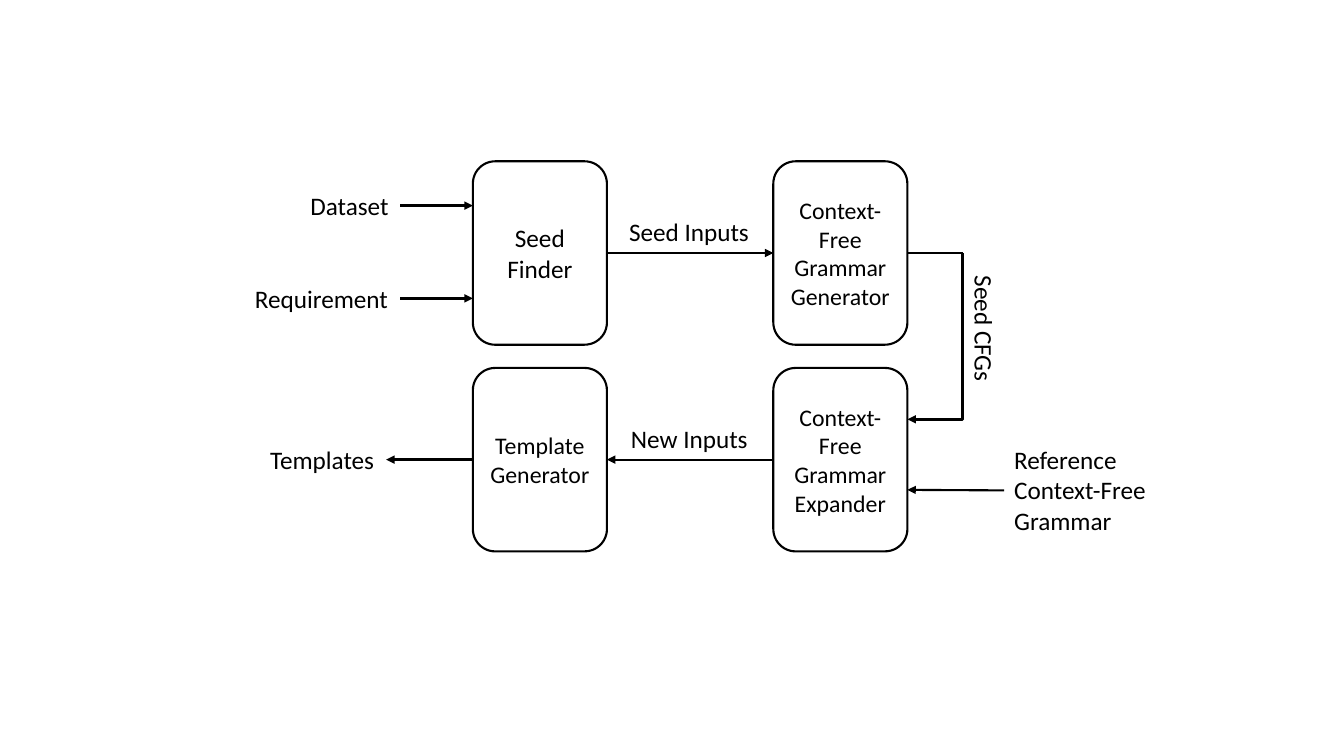
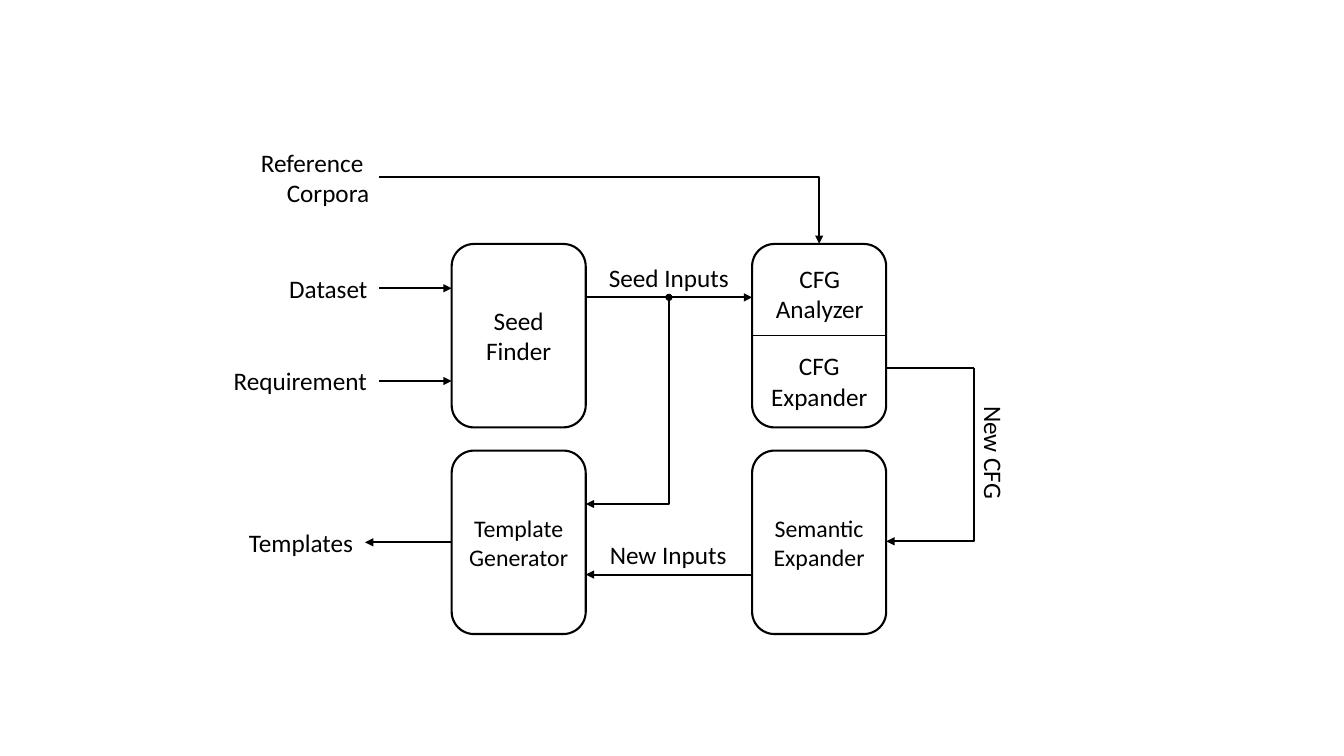
from dataclasses import dataclass
from typing import NamedTuple

from pptx import Presentation
from pptx.dml.color import RGBColor
from pptx.enum.shapes import MSO_CONNECTOR, MSO_SHAPE
from pptx.enum.text import MSO_ANCHOR, MSO_AUTO_SIZE, PP_ALIGN
from pptx.oxml.ns import qn
from pptx.oxml.xmlchemy import OxmlElement
from pptx.shapes.autoshape import Shape
from pptx.shapes.connector import Connector
from pptx.slide import Slide
from pptx.util import Inches, Pt

COLORS = {"ink": "000000", "paper": "FFFFFF"}
FONT = "Calibri"
BOX_WIDTH, BOX_HEIGHT = 1.33, 1.82
COLUMN_STEP, ROW_STEP = 2.98, 2.05
TOP, LEFT, BOTTOM, RIGHT = range(4)


class Point(NamedTuple):
    x: float
    y: float


class Anchor(NamedTuple):
    """The middle of one side of a shape."""
    shape: Shape
    side: int


@dataclass(frozen=True)
class Stage:
    lines: tuple[str, ...]
    column: int
    row: int
    size: float = 17


@dataclass(frozen=True)
class Label:
    lines: tuple[str, ...]
    left: float
    top: float
    width: float
    height: float = 0.4
    align: PP_ALIGN = PP_ALIGN.LEFT
    rotation: float = 0
    wrap: bool = False


SEED_FINDER = Stage(("Seed", "Finder"), 0, 0, 18)
TEMPLATE_GENERATOR = Stage(("Template", "Generator"), 0, 1)
# Places of these labels are relative to the top left stage.
DATASET = Label(("Dataset",), -1.71, 0.24, 0.99)
REQUIREMENT = Label(("Requirement",), -2.26, 1.16, 1.54)
TEMPLATES = Label(("Templates",), -2.11, 2.76, 1.25)


def color(name: str) -> RGBColor:
    return RGBColor.from_string(COLORS[name])


def write(shape: Shape, lines: tuple[str, ...], *, size: float = 18,
          align: PP_ALIGN = PP_ALIGN.LEFT, wrap: bool = True) -> None:
    frame = shape.text_frame
    frame.word_wrap = wrap
    for index, line in enumerate(lines):
        paragraph = frame.add_paragraph() if index else frame.paragraphs[0]
        paragraph.alignment = align
        run = paragraph.add_run()
        run.text = line
        run.font.name = FONT
        run.font.size = Pt(size)
        run.font.color.rgb = color("ink")


def add_outlined(slide: Slide, kind: MSO_SHAPE, place: Point, width: float, height: float,
                 *, fill: str, line_width: float) -> Shape:
    shape = slide.shapes.add_shape(kind, Inches(place.x), Inches(place.y),
                                   Inches(width), Inches(height))
    shape.shadow.inherit = False
    shape.fill.solid()
    shape.fill.fore_color.rgb = color(fill)
    shape.line.color.rgb = color("ink")
    shape.line.width = Pt(line_width)
    return shape


def add_stage(slide: Slide, origin: Point, stage: Stage) -> Shape:
    place = Point(origin.x + stage.column * COLUMN_STEP, origin.y + stage.row * ROW_STEP)
    shape = add_outlined(slide, MSO_SHAPE.ROUNDED_RECTANGLE, place, BOX_WIDTH, BOX_HEIGHT,
                         fill="paper", line_width=1.5)
    shape.text_frame.vertical_anchor = MSO_ANCHOR.MIDDLE
    write(shape, stage.lines, size=stage.size, align=PP_ALIGN.CENTER)
    return shape


def add_label(slide: Slide, label: Label, origin: Point = Point(0, 0)) -> Shape:
    shape = slide.shapes.add_textbox(Inches(origin.x + label.left), Inches(origin.y + label.top),
                                     Inches(label.width), Inches(label.height))
    shape.rotation = label.rotation
    write(shape, label.lines, align=label.align, wrap=label.wrap)
    shape.text_frame.auto_size = MSO_AUTO_SIZE.SHAPE_TO_FIT_TEXT
    return shape


def style_line(connector: Connector, width: float, arrow: bool) -> None:
    connector.line.color.rgb = color("ink")
    connector.line.width = Pt(width)
    if arrow:
        tail = OxmlElement("a:tailEnd")
        tail.set("type", "triangle")
        connector.line._get_or_add_ln().append(tail)
    connector._element.spPr.append(OxmlElement("a:effectLst"))


def add_line(slide: Slide, start: Point | Anchor, end: Point | Anchor, *,
             width: float = 1.5, arrow: bool = True) -> None:
    """Draw a straight line, joined to a shape wherever an end is an Anchor."""
    first, last = (Point(0, 0) if isinstance(end_point, Anchor) else end_point
                   for end_point in (start, end))
    connector = slide.shapes.add_connector(MSO_CONNECTOR.STRAIGHT, Inches(first.x),
                                           Inches(first.y), Inches(last.x), Inches(last.y))
    if isinstance(start, Anchor):
        connector.begin_connect(start.shape, start.side)
    if isinstance(end, Anchor):
        connector.end_connect(end.shape, end.side)
    style_line(connector, width, arrow)


def add_corner(slide: Slide, start: Point, end: Point, *, width: float = 1.5) -> None:
    """Draw a one-bend arrow: right then down, or down then left."""
    turned = end.x < start.x
    across, down = abs(end.x - start.x), end.y - start.y
    if turned:
        across, down = down, across
    left = (start.x + end.x - across) / 2
    top = (start.y + end.y - down) / 2
    connector = slide.shapes.add_connector(MSO_CONNECTOR.ELBOW, Inches(left), Inches(top),
                                           Inches(left + across), Inches(top + down))
    properties = connector._element.spPr
    properties.find(qn("a:prstGeom")).set("prst", "bentConnector2")
    if turned:
        properties.find(qn("a:xfrm")).set("rot", str(90 * 60000))
    style_line(connector, width, True)


def add_return(slide: Slide, start: Point, turn_x: float, end: Point, *,
               width: float = 1.5) -> None:
    """Leave to the right, go down, and come back to the left."""
    corner = Point(turn_x, start.y)
    add_line(slide, start, corner, width=width, arrow=False)
    add_corner(slide, corner, end, width=width)


def add_left_side(slide: Slide, origin: Point, line_width: float) -> tuple[Shape, Shape]:
    """Draw the left stages with their inputs and output; return both stages."""
    finder = add_stage(slide, origin, SEED_FINDER)
    generator = add_stage(slide, origin, TEMPLATE_GENERATOR)
    for label in (DATASET, REQUIREMENT):
        source = add_label(slide, label, origin)
        y = origin.y + label.top + label.height / 2
        add_line(slide, Anchor(source, RIGHT), Point(origin.x, y), width=line_width)
    templates = add_label(slide, TEMPLATES, origin)
    add_line(slide, Anchor(generator, LEFT), Anchor(templates, RIGHT), width=line_width)
    return finder, generator


def build_grammar_slide(slide: Slide) -> None:
    origin = Point(4.69, 1.6)
    right_edge = origin.x + COLUMN_STEP + BOX_WIDTH
    finder, template_generator = add_left_side(slide, origin, 2)
    grammar_generator, grammar_expander = (
        add_stage(slide, origin, Stage(("Context-Free Grammar", name), 1, row))
        for row, name in enumerate(("Generator", "Expander")))
    add_label(slide, Label(("Seed Inputs",), 6.14, 2.1, 1.41))
    add_label(slide, Label(("New Inputs",), 6.16, 4.15, 1.37))
    add_label(slide, Label(("Seed CFGs",), 9.13, 3.07, 1.27, rotation=90))
    reference = add_label(slide, Label(("Reference", "Context-Free", "Grammar"),
                                       9.96, 4.36, 1.58, 1.01))
    add_line(slide, Anchor(finder, RIGHT), Anchor(grammar_generator, LEFT), width=2)
    add_line(slide, Anchor(grammar_expander, LEFT), Anchor(template_generator, RIGHT))
    add_return(slide, Point(right_edge, 2.51), 9.55, Point(right_edge, 4.16), width=2)
    add_line(slide, Anchor(reference, LEFT), Point(right_edge, 4.86))


def build_corpora_slide(slide: Slide) -> None:
    origin = Point(4.48, 2.42)
    inner_left = origin.x + BOX_WIDTH
    inner_right = origin.x + COLUMN_STEP
    right_edge = inner_right + BOX_WIDTH
    branch = Point((inner_left + inner_right) / 2, 2.95)
    dot = 0.06

    add_left_side(slide, origin, 1.5)
    add_stage(slide, origin, Stage((), 1, 0))
    add_stage(slide, origin, Stage(("Semantic", "Expander"), 1, 1))
    add_line(slide, Point(inner_right, 3.33), Point(right_edge, 3.33), width=0.5, arrow=False)
    for label in (
        Label(("CFG", "Analyzer"), 7.59, 2.56, 1.08, 0.71, PP_ALIGN.CENTER),
        Label(("CFG", "Expander"), 7.54, 3.43, 1.17, 0.71, PP_ALIGN.CENTER),
        Label(("Seed Inputs",), 5.94, 2.55, 1.41),
        Label(("New Inputs",), 5.95, 5.3, 1.37),
        Label(("Reference ", "Corpora"), 2.47, 1.41, 1.29, 0.71, PP_ALIGN.RIGHT),
        Label(("New CFG",), 8.99, 4.29, 1.74, 0.4, PP_ALIGN.CENTER, 90, True),
    ):
        add_label(slide, label)

    add_line(slide, Point(inner_left, branch.y), Point(inner_right, branch.y))
    add_line(slide, Point(inner_right, 5.7), Point(inner_left, 5.7))
    add_corner(slide, Point(3.76, 1.76), Point(inner_right + BOX_WIDTH / 2, origin.y))
    add_return(slide, Point(right_edge, 3.65), 9.66, Point(right_edge, 5.37))
    add_corner(slide, branch, Point(inner_left, 5))
    add_outlined(slide, MSO_SHAPE.OVAL, Point(branch.x - dot / 2, branch.y - dot / 2),
                 dot, dot, fill="ink", line_width=0)


def main() -> None:
    presentation = Presentation()
    presentation.slide_width = Inches(13.33)
    presentation.slide_height = Inches(7.5)
    blank_layout = presentation.slide_layouts[6]
    for build in (build_grammar_slide, build_corpora_slide):
        build(presentation.slides.add_slide(blank_layout))
    presentation.save("out.pptx")


if __name__ == "__main__":
    main()
